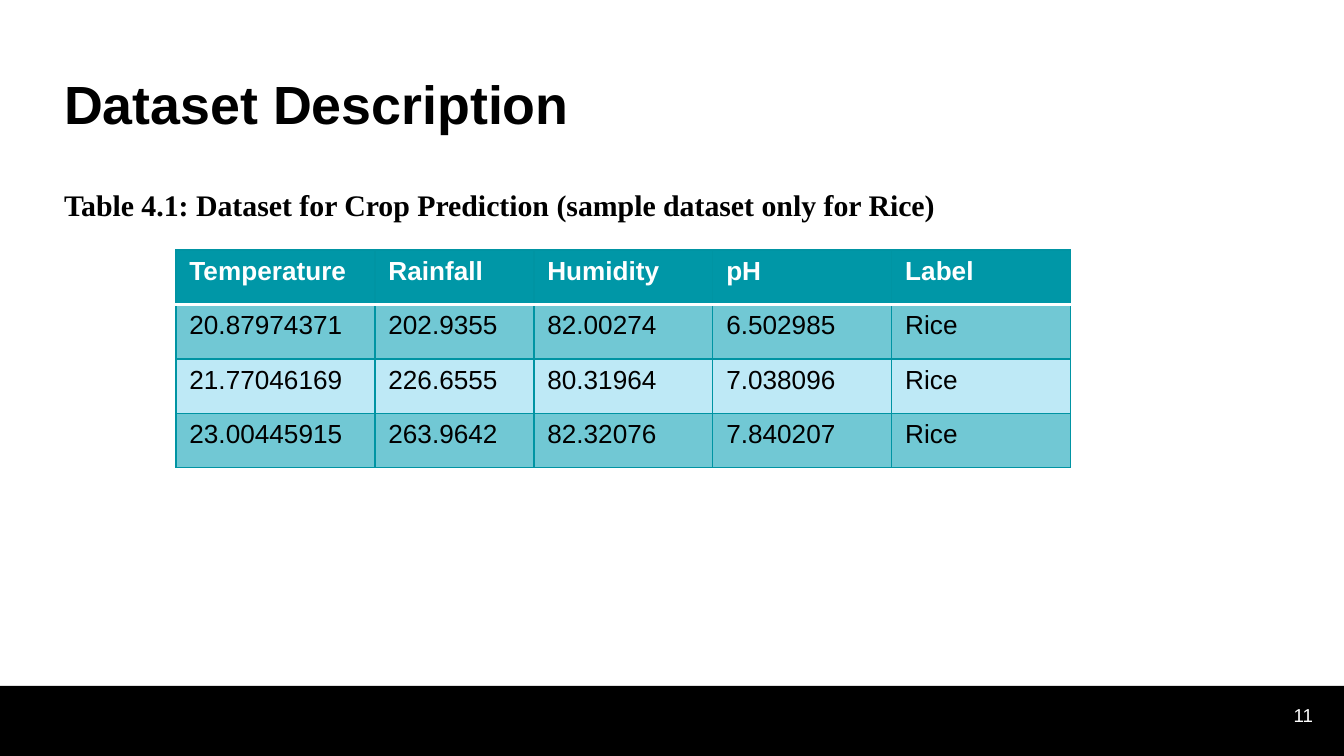
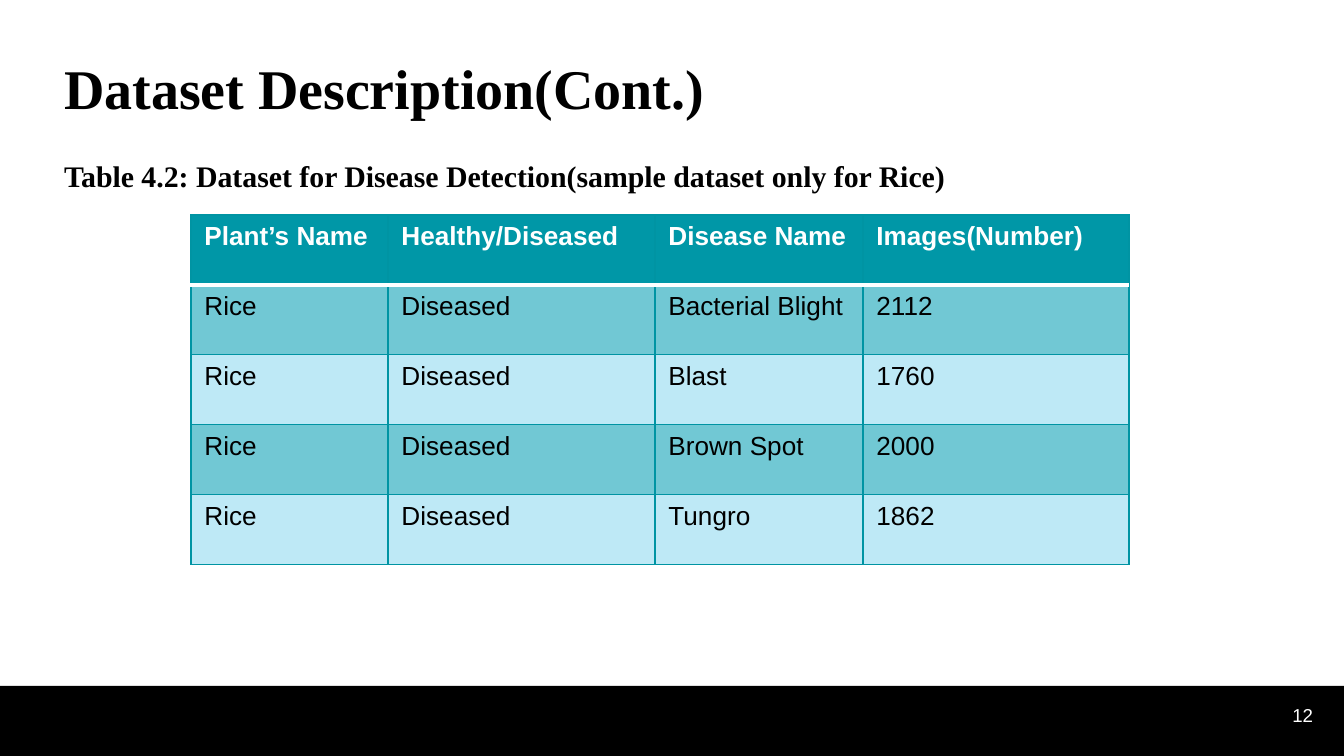
from pptx import Presentation, util as u
from pptx.dml.color import RGBColor
from pptx.enum import shapes, text
from pptx.oxml import parse_xml
from pptx.oxml.ns import nsdecls

SCALE = 914400 / 134.4
SANS, SERIF = "Arial", "Times New Roman"
BLACK, WHITE = "000000", "FFFFFF"
TEAL, EDGE = "0097A7", "0094A3"
BANDS = ["71C8D4", "BEE9F6"]
INSET = 13


def px(n):
    """Turn px into EMU."""
    return u.Emu(round(n * SCALE))


def color(code):
    """Turn a hex string into a colour."""
    return RGBColor.from_string(code)


def apply(obj, vals):
    """Set each attribute in a dict."""
    for key, val in vals.items():
        setattr(obj, key, val)


def place(shape, box):
    """Move and size a shape, given in px."""
    apply(shape, dict(zip(("left", "top", "width", "height"), map(px, box))))


def write(frame, words, font, size, shade=BLACK, bold=False, **para):
    """Fill a text frame with one formatted paragraph."""
    frame.text = words
    line = frame.paragraphs[0]
    apply(line, para)
    apply(line.runs[0].font, {"name": font, "size": u.Pt(size), "bold": bold})
    line.runs[0].font.color.rgb = color(shade)


def fit(frame, anchor):
    """Set the insets, wrap and anchor of a text frame."""
    sides = ("left", "top", "right", "bottom")
    apply(frame, {f"margin_{side}": px(INSET) for side in sides})
    apply(frame, {"word_wrap": True, "auto_size": text.MSO_AUTO_SIZE.NONE,
                  "vertical_anchor": anchor})


def add_title(slide, words, top, font, size):
    """Format the title placeholder."""
    shape = slide.shapes.title
    place(shape, (51, top, 1089, 98))
    fit(shape.text_frame, text.MSO_ANCHOR.BOTTOM)
    write(shape.text_frame, words, font, size, bold=True,
          alignment=text.PP_ALIGN.LEFT)


def add_caption(slide, words, top):
    """Format the body placeholder as a table caption."""
    shape = slide.placeholders[1]
    place(shape, (51, top, 1089, 634 - top))
    fit(shape.text_frame, text.MSO_ANCHOR.TOP)
    write(shape.text_frame, words, SERIF, 16, bold=True, line_spacing=1.15,
          space_before=u.Pt(0), alignment=text.PP_ALIGN.LEFT)
    props = shape.text_frame.paragraphs[0]._p.get_or_add_pPr()
    apply(props, {"marL": 0, "indent": 0})
    props.append(parse_xml(f"<a:buNone {nsdecls('a')}/>"))


def add_edges(cell, row):
    """Draw the four borders of a cell."""
    props = cell._tc.get_or_add_tcPr()
    for i, side in enumerate("LRTB"):
        rule = (side, row) in (("B", 0), ("T", 1))
        shade, wide = (WHITE, 2) if rule else (EDGE, 0.75)
        props.insert(i, parse_xml(
            f'<a:ln{side} {nsdecls("a")} w="{u.Pt(wide)}"><a:solidFill>'
            f'<a:srgbClr val="{shade}"/></a:solidFill></a:ln{side}>'))


def add_grid(slide, left, top, cols, high, rows):
    """Add a banded table with a dark header row."""
    frame = slide.shapes.add_table(len(rows), len(cols), px(left), px(top),
                                   px(sum(cols)), px(high))
    grid = frame.table
    for col, wide in zip(grid.columns, cols):
        col.width = px(wide)
    for r, row in enumerate(rows):
        grid.rows[r].height = px(high / len(rows))
        head = r == 0
        for c, words in enumerate(row):
            cell = grid.cell(r, c)
            cell.fill.solid()
            cell.fill.fore_color.rgb = color(TEAL if head else BANDS[(r - 1) % 2])
            add_edges(cell, r)
            write(cell.text_frame, words, SANS, 14, WHITE if head else BLACK, head)


def add_footer(slide, number):
    """Add the bottom band and the slide number."""
    band = slide.shapes.add_shape(shapes.MSO_SHAPE.RECTANGLE, 0, px(686),
                                  px(1344), px(70))
    band.shadow.inherit = False
    band.fill.solid()
    band.fill.fore_color.rgb = color(BLACK)
    band.line.fill.background()
    label = slide.shapes.add_textbox(px(1246), px(686), px(80), px(58))
    fit(label.text_frame, text.MSO_ANCHOR.MIDDLE)
    write(label.text_frame, str(number), SANS, 10, WHITE,
          alignment=text.PP_ALIGN.RIGHT)


def add_page(deck, number, title, caption, grid):
    """Build one slide with a title, a caption and a table."""
    slide = deck.slides.add_slide(deck.slide_layouts[1])
    add_footer(slide, number)
    add_title(slide, *title)
    add_caption(slide, *caption)
    add_grid(slide, *grid)


def main():
    """Build and save the deck."""
    deck = Presentation()
    apply(deck, {"slide_width": px(1344), "slide_height": px(756)})
    crops = [
        ("Temperature", "Rainfall", "Humidity", "pH", "Label"),
        ("20.87974371", "202.9355", "82.00274", "6.502985", "Rice"),
        ("21.77046169", "226.6555", "80.31964", "7.038096", "Rice"),
        ("23.00445915", "263.9642", "82.32076", "7.840207", "Rice"),
    ]
    ills = [
        ("Plant’s Name", "Healthy/Diseased", "Disease Name", "Images(Number)"),
        ("Rice", "Diseased", "Bacterial Blight", "2112"),
        ("Rice", "Diseased", "Blast", "1760"),
        ("Rice", "Diseased", "Brown Spot", "2000"),
        ("Rice", "Diseased", "Tungro", "1862"),
    ]
    add_page(deck, 11, ("Dataset Description", 50, SANS, 28.8),
             ("Table 4.1: Dataset for Crop Prediction (sample dataset only for Rice)", 168),
             (176, 250, (199, 159, 179, 179, 179), 218, crops))
    add_page(deck, 12, ("Dataset Description(Cont.)", 36, SERIF, 30),
             ("Table 4.2: Dataset for Disease Detection(sample dataset only for Rice)", 139),
             (191, 215, (197, 267, 208, 266), 350, ills))
    deck.save("out.pptx")


if __name__ == "__main__":
    main()
